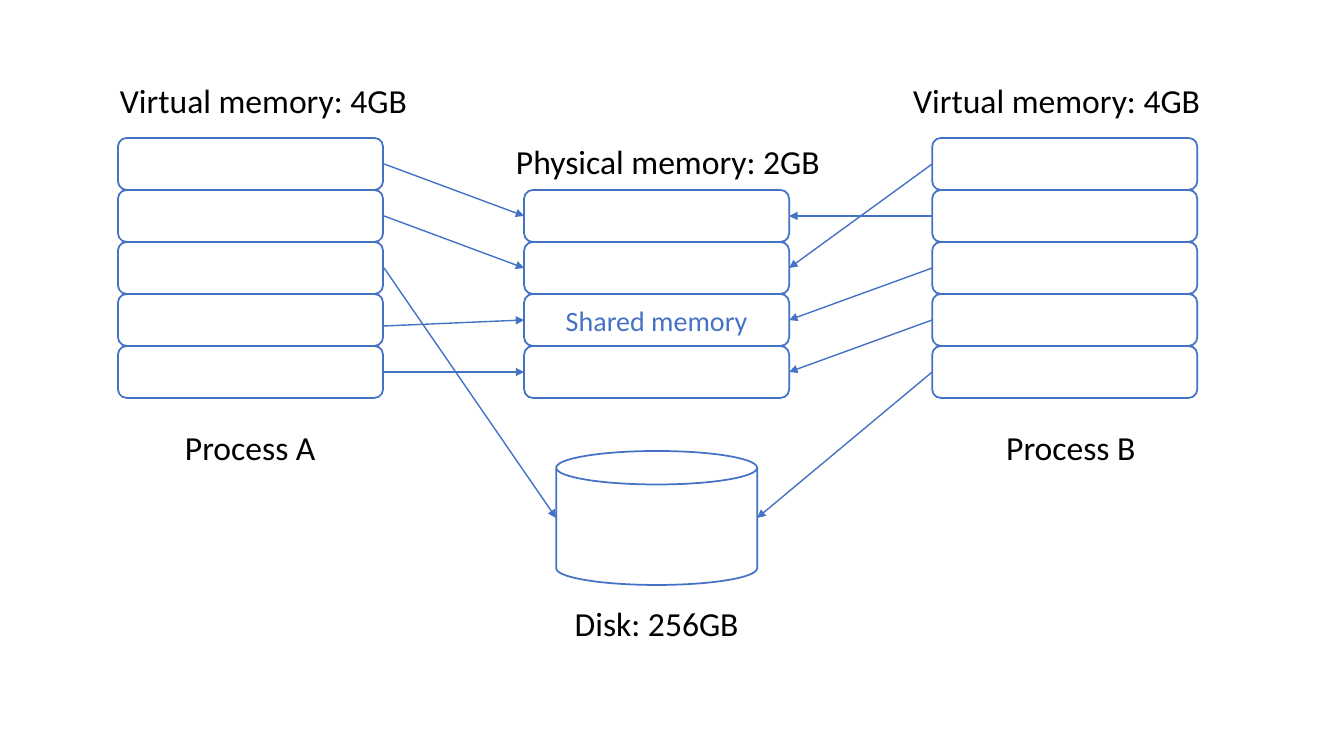
from lxml import etree
from pptx import Presentation, util as u
from pptx.dml import color
from pptx.enum import shapes, text
from pptx.oxml import ns

COLORS = {"line": "4472C4", "text": "000000", "paper": "FFFFFF"}
SCALE = 914400 / 100.8
ROW_W, ROW_H, TOP = 265, 52, 138
A_X, PHYS_X, B_X = 118, 524, 932
DISK = (556, 451, 201, 134)


def row_mid(row):
    return TOP + ROW_H * row + ROW_H // 2


class Diagram:
    """Draws styled memory-map elements on one slide."""

    def __init__(self, s):
        self.s = s
        self.font = {"name": "Calibri", "size": u.Pt(24)}
        self.frame = {"word_wrap": True, "vertical_anchor": text.MSO_ANCHOR.MIDDLE}

    def px(self, *lengths):
        return [u.Emu(round(n * SCALE)) for n in lengths]

    def rgb(self, name):
        return color.RGBColor.from_string(COLORS[name])

    def put_text(self, sp, words, ink="text", align=None, spacing=0.9, **font):
        tf = sp.text_frame
        for key, value in self.frame.items():
            setattr(tf, key, value)
        p = tf.paragraphs[0]
        for key, value in {"alignment": align, "line_spacing": spacing}.items():
            setattr(p, key, value)
        r = p.add_run()
        r.text = words
        for key, value in {**self.font, **font}.items():
            setattr(r.font, key, value)
        r.font.color.rgb = self.rgb(ink)

    def label(self, words, *box):
        self.put_text(self.s.shapes.add_textbox(*self.px(*box)), words)

    def shape(self, kind, *box):
        sp = self.s.shapes.add_shape(kind, *self.px(*box))
        sp.shadow.inherit = False
        sp.fill.background()
        sp.line.width = u.Pt(1.25)
        sp.line.color.rgb = self.rgb("line")
        return sp

    def stack(self, x, first, last):
        return [self.shape(shapes.MSO_SHAPE.ROUNDED_RECTANGLE,
                           x, TOP + ROW_H * row, ROW_W, ROW_H)
                for row in range(first, last + 1)]

    def caption(self, words, *box):
        sp = self.shape(shapes.MSO_SHAPE.RECTANGLE, *box)
        sp.fill.solid()
        sp.fill.fore_color.rgb = self.rgb("paper")
        sp.line.fill.background()
        self.put_text(sp, words, align=text.PP_ALIGN.CENTER)

    def arrow(self, *ends):
        c = self.s.shapes.add_connector(shapes.MSO_CONNECTOR.STRAIGHT, *self.px(*ends))
        c.line.width = u.Pt(1)
        c.line.color.rgb = self.rgb("line")
        props = c.element.spPr
        etree.SubElement(props.find(ns.qn("a:ln")), ns.qn("a:tailEnd"), type="triangle")
        etree.SubElement(props, ns.qn("a:effectLst"))


def main():
    prs = Presentation()
    prs.slide_width, prs.slide_height = u.Inches(13.33), u.Inches(7.5)
    d = Diagram(prs.slides.add_slide(prs.slide_layouts[6]))

    d.stack(A_X, 0, 4)
    d.stack(B_X, 0, 4)
    shared = d.stack(PHYS_X, 1, 4)[2]
    d.put_text(shared, "Shared memory", "line", text.PP_ALIGN.CENTER, 1.0, size=u.Pt(20))
    d.shape(shapes.MSO_SHAPE.CAN, *DISK)

    for words, x, y, w in (
        ("Virtual memory: 4GB", 110, 77, 332),
        ("Virtual memory: 4GB", 903, 77, 332),
        ("Physical memory: 2GB", 506, 138, 332),
        ("Process A", 175, 424, 201),
        ("Process B", 996, 424, 201),
    ):
        d.label(words, x, y, w, ROW_H)
    d.caption("Disk: 256GB", 544, 600, 225, ROW_H)

    a_right, phys_right = A_X + ROW_W, PHYS_X + ROW_W
    disk_x, disk_y, disk_w, disk_h = DISK
    disk_mid = disk_y + disk_h // 2
    for row, target, drop in ((0, 1, 0), (1, 2, 0), (3, 3, 6), (4, 4, 0)):
        d.arrow(a_right + 1, row_mid(row) + drop, PHYS_X, row_mid(target))
    for row, target in ((0, 2), (1, 1), (2, 3), (3, 4)):
        d.arrow(B_X, row_mid(row), phys_right, row_mid(target))
    d.arrow(a_right + 1, row_mid(2), disk_x, disk_mid)
    d.arrow(B_X, row_mid(4), disk_x + disk_w, disk_mid)

    prs.save("out.pptx")


if __name__ == "__main__":
    main()
